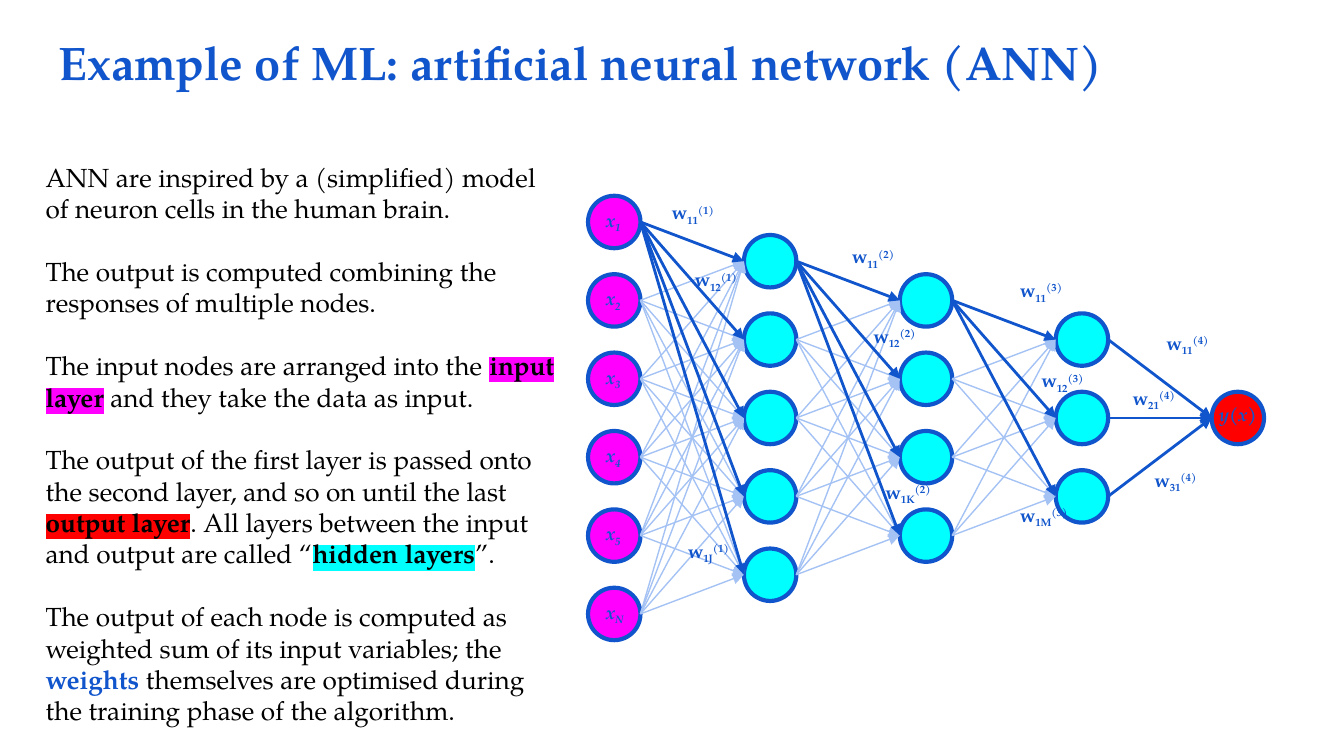
from dataclasses import dataclass
from itertools import pairwise

from lxml import etree
from pptx import Presentation
from pptx.dml.color import RGBColor
from pptx.enum.shapes import MSO_CONNECTOR, MSO_SHAPE
from pptx.oxml.ns import qn
from pptx.util import Inches, Pt

OVAL = MSO_SHAPE.OVAL
STRAIGHT = MSO_CONNECTOR.STRAIGHT
FONT = "TeX Gyre Pagella"
BLUE, PALE, BLACK = "1155CC", "A4C2F4", "000000"
MAGENTA, CYAN, RED = "FF00FF", "00FFFF", "FF0000"

# Slide size (16:9) and network grid, in inches
SLIDE_W = 10
SLIDE_H = SLIDE_W * 9 / 16
DIAMETER = 0.39
FIRST_X, MIDDLE_Y = 4.57, 3.11
LAYER_STEP, NODE_STEP = 1.16, 7 / 12


@dataclass
class Run:
    text: str
    color: str = BLACK
    bold: bool = False
    italic: bool = False
    highlight: str = ""
    baseline: int = 0


@dataclass
class Layer:
    index: int
    count: int
    color: str

    @property
    def x(self) -> float:
        return FIRST_X + self.index * LAYER_STEP

    @property
    def ys(self) -> list[float]:
        top = MIDDLE_Y - (self.count - 1) / 2 * NODE_STEP
        return [top + i * NODE_STEP for i in range(self.count)]


@dataclass
class Weight:
    x: float
    y: float
    sub: str
    layer: int


LAYERS = [Layer(i, count, color) for i, (count, color) in enumerate(
    [(6, MAGENTA), (5, CYAN), (4, CYAN), (3, CYAN), (1, RED)])]

WEIGHTS = [
    Weight(4.9, 1.4, "11", 1), Weight(5.07, 1.9, "12", 1), Weight(5.02, 3.92, "1J", 1),
    Weight(6.24, 1.73, "11", 2), Weight(6.4, 2.32, "12", 2), Weight(6.49, 3.48, "1K", 2),
    Weight(7.49, 1.98, "11", 3), Weight(7.65, 2.65, "12", 3), Weight(7.49, 3.65, "1M", 3),
    Weight(8.58, 2.37, "11", 4), Weight(8.33, 2.78, "21", 4), Weight(8.49, 3.39, "31", 4),
]

BODY = [
    [Run("ANN are inspired by a (simplified) model of neuron cells in the human brain.")],
    [Run("The output is computed combining the responses of multiple nodes.")],
    [Run("The input nodes are arranged into the "),
     Run("input layer", bold=True, highlight=MAGENTA),
     Run(" and they take the data as input.")],
    [Run("The output of the first layer is passed onto the second layer, "
         "and so on until the last "),
     Run("output layer", bold=True, highlight=RED),
     Run(". All layers between the input and output are called “"),
     Run("hidden layers", bold=True, highlight=CYAN),
     Run("”.")],
    [Run("The output of each node is computed as weighted sum of its input variables; the "),
     Run("weights", BLUE, bold=True),
     Run(" themselves are optimised during the training phase of the algorithm.")],
]


def rgb(color: str) -> RGBColor:
    return RGBColor.from_string(color)


def add_text(s, x: float, y: float, w: float, h: float,
             paragraphs: list[list[Run]], size: float, gap: float = 0) -> None:
    tf = s.shapes.add_textbox(Inches(x), Inches(y), Inches(w), Inches(h)).text_frame
    tf.word_wrap = True
    for side in ("left", "top", "right", "bottom"):
        setattr(tf, f"margin_{side}", Inches(0.1))
    for i, runs in enumerate(paragraphs):
        p = tf.paragraphs[0] if i == 0 else tf.add_paragraph()
        if i:
            p.space_before = Pt(gap)
        for run in runs:
            r = p.add_run()
            r.text = run.text
            style = {"name": FONT, "size": Pt(size), "bold": run.bold, "italic": run.italic}
            for key, value in style.items():
                setattr(r.font, key, value)
            r.font.color.rgb = rgb(run.color)
            props = r._r.get_or_add_rPr()
            if run.baseline:
                props.set("baseline", str(run.baseline * 1000))
            if run.highlight:
                mark = etree.Element(qn("a:highlight"))
                etree.SubElement(mark, qn("a:srgbClr"), val=run.highlight)
                props.find(qn("a:solidFill")).addnext(mark)


def add_node(s, x: float, y: float, color: str) -> None:
    sp = s.shapes.add_shape(OVAL, Inches(x - DIAMETER / 2), Inches(y - DIAMETER / 2),
                            Inches(DIAMETER), Inches(DIAMETER))
    sp.shadow.inherit = False
    sp.fill.solid()
    sp.fill.fore_color.rgb = rgb(color)
    sp.line.color.rgb = rgb(BLUE)
    sp.line.width = Pt(2.25)


def add_arrow(s, x1: float, y1: float, x2: float, y2: float, strong: bool) -> None:
    cxn = s.shapes.add_connector(STRAIGHT, Inches(x1), Inches(y1), Inches(x2), Inches(y2))
    cxn.line.color.rgb = rgb(BLUE if strong else PALE)
    cxn.line.width = Pt(1.5 if strong else 0.75)
    etree.SubElement(cxn.line._get_or_add_ln(), qn("a:tailEnd"), type="triangle")
    etree.SubElement(cxn._element.spPr, qn("a:effectLst"))


def connect_layers(s, source: Layer, target: Layer) -> None:
    """Join all nodes; those of the top node, or into the output, are strong."""
    x1, x2 = source.x + DIAMETER / 2, target.x - DIAMETER / 2
    for i, y1 in reversed(list(enumerate(source.ys))):
        for y2 in target.ys:
            add_arrow(s, x1, y1, x2, y2, strong=i == 0 or target.count == 1)


def label(text: str, sub: str = "", sup: str = "", italic: bool = False) -> list[Run]:
    parts = [(text, 0), (sub, -25), (sup, 30)]
    return [Run(t, BLUE, True, italic, baseline=b) for t, b in parts if t]


def main() -> None:
    prs = Presentation()
    prs.slide_width, prs.slide_height = Inches(SLIDE_W), Inches(SLIDE_H)
    s = prs.slides.add_slide(prs.slide_layouts[6])

    # Title and explanation
    title = Run("Example of ML: artificial neural network (ANN)", BLUE, bold=True)
    add_text(s, 0.34, 0.15, 9.32, 0.63, [[title]], 25.2)
    add_text(s, 0.24, 1.1, 4.01, 3.98, BODY, 14, gap=16.8)

    # Nodes and connections
    for layer in LAYERS:
        for y in layer.ys:
            add_node(s, layer.x, y, layer.color)
    for source, target in pairwise(LAYERS):
        connect_layers(s, source, target)

    # Weight labels
    for w in WEIGHTS:
        add_text(s, w.x, w.y, 0.66, 0.32, [label("w", w.sub, f"({w.layer})")], 10)

    # Input and output labels
    for sub, y in zip("12345N", LAYERS[0].ys):
        add_text(s, 4.41, y - DIAMETER / 2, 0.66, 0.32, [label("x", sub, italic=True)], 10)
    add_text(s, 8.97, MIDDLE_Y - DIAMETER / 2, 0.76, 0.39, [label("y(x)", italic=True)], 10)

    prs.save("out.pptx")


if __name__ == "__main__":
    main()
